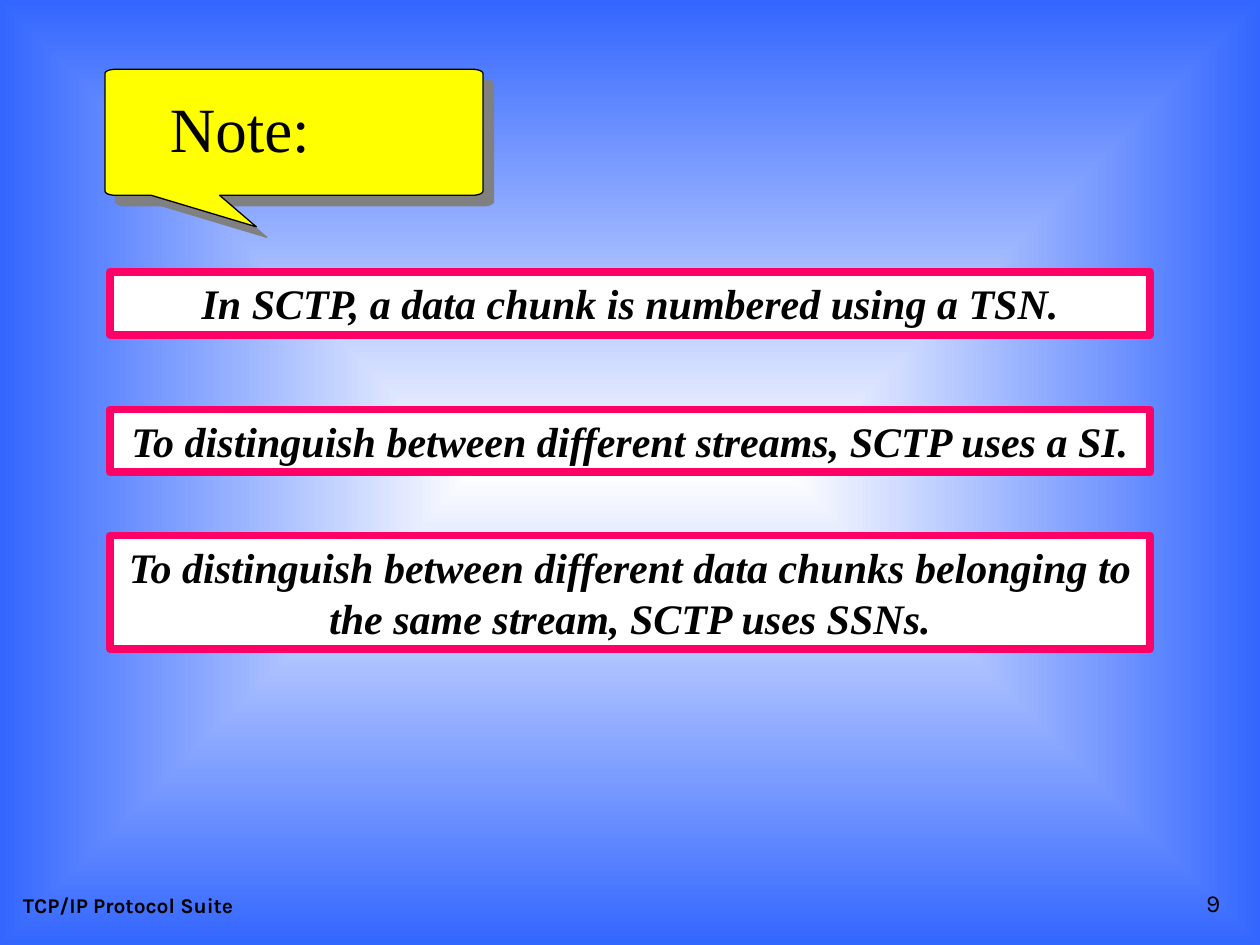
from math import cos, pi, sin

from lxml.etree import SubElement
from pptx import Presentation
from pptx.dml.color import RGBColor
from pptx.enum.shapes import MSO_SHAPE
from pptx.enum.text import MSO_ANCHOR, MSO_AUTO_SIZE, PP_ALIGN
from pptx.oxml import parse_xml
from pptx.oxml.ns import nsdecls, qn
from pptx.util import Pt

BLACK = "000000"
SERIF = "Times New Roman"
SANS = "Karla"


def color(value):
    return RGBColor.from_string(value)


def paint_background(page, center, edge):
    fill = page.background.fill
    fill.gradient()
    for stop, value in zip(fill.gradient_stops, (center, edge)):
        stop.color.rgb = color(value)
    gradient = page._element.find(".//" + qn("a:gradFill"))
    gradient.replace(
        gradient.find(qn("a:lin")),
        parse_xml(
            f'<a:path {nsdecls("a")} path="rect">'
            '<a:fillToRect l="50000" t="50000" r="50000" b="50000"/></a:path>'
        ),
    )


def write(box, text, size, font, bold=False, italic=False, align=PP_ALIGN.LEFT):
    paragraph = box.text_frame.paragraphs[0]
    paragraph.alignment = align
    span = paragraph.add_run()
    span.text = text
    span.font.size = Pt(size)
    span.font.name = font
    span.font.bold = bold
    span.font.italic = italic
    span.font.color.rgb = color(BLACK)
    return paragraph


def add_label(page, left, top, width, height, text, size, font,
              anchor=MSO_ANCHOR.BOTTOM, wrap=True, **style):
    box = page.shapes.add_textbox(Pt(left), Pt(top), Pt(width), Pt(height))
    box.text_frame.word_wrap = wrap
    box.text_frame.vertical_anchor = anchor
    write(box, text, size, font, **style)


def add_statement(page, top, height, text):
    box = page.shapes.add_shape(
        MSO_SHAPE.RECTANGLE, Pt(63), Pt(top), Pt(594), Pt(height)
    )
    box.shadow.inherit = False
    box.fill.solid()
    box.fill.fore_color.rgb = color("FFFFFF")
    box.line.color.rgb = color("FF0066")
    box.line.width = Pt(4.5)
    frame = box.text_frame
    frame.word_wrap = True
    frame.vertical_anchor = MSO_ANCHOR.TOP
    frame.auto_size = MSO_AUTO_SIZE.SHAPE_TO_FIT_TEXT
    paragraph = write(box, text, 24, SERIF, bold=True, italic=True,
                      align=PP_ALIGN.CENTER)
    paragraph.space_before = Pt(12)
    paragraph.space_after = Pt(10)


def corner(center_x, center_y, radius_x, radius_y, start, steps=6):
    angles = [start + pi / 2 * step / steps for step in range(steps + 1)]
    return [(center_x + radius_x * cos(angle), center_y + radius_y * sin(angle))
            for angle in angles]


def add_callout(page, left, top, width, height):
    radius_x, radius_y = 6, 2.4
    near_x, far_x = left + radius_x, left + width - radius_x
    near_y, far_y = top + radius_y, top + height - radius_y
    bottom = top + height
    tail = [(left + 65.5, bottom), (left + 86.5, bottom + 18), (left + 26.5, bottom)]
    points = (
        corner(near_x, near_y, radius_x, radius_y, pi)
        + corner(far_x, near_y, radius_x, radius_y, 1.5 * pi)
        + corner(far_x, far_y, radius_x, radius_y, 0)
        + tail
        + corner(near_x, far_y, radius_x, radius_y, pi / 2)
    )
    outline = [(Pt(x), Pt(y)) for x, y in points]
    builder = page.shapes.build_freeform(*outline[0])
    builder.add_line_segments(outline[1:], close=True)
    callout = builder.convert_to_shape()
    callout.fill.solid()
    callout.fill.fore_color.rgb = color("FFFF00")
    callout.line.color.rgb = color(BLACK)
    callout.line.width = Pt(0.75)
    add_shadow(callout, "808080", 8.5, 45)


def add_shadow(shape, value, distance, angle):
    shape.shadow.inherit = False
    effects = shape._element.spPr.find(qn("a:effectLst"))
    shadow = SubElement(effects, qn("a:outerShdw"), blurRad="0",
                        dist=str(Pt(distance)), dir=str(angle * 60000),
                        algn="ctr", rotWithShape="0")
    SubElement(shadow, qn("a:srgbClr"), val=value)


def main():
    deck = Presentation()
    deck.slide_width, deck.slide_height = Pt(720), Pt(540)
    page = deck.slides.add_slide(deck.slide_layouts[6])
    paint_background(page, "FFFFFF", "3366FF")

    add_label(page, 6, 492, 228, 36, "TCP/IP Protocol Suite", 12, SANS, bold=True)
    add_label(page, 554.4, 492, 150, 36, "9", 14, SANS, align=PP_ALIGN.RIGHT)

    statements = [
        (155.25, 36, "In SCTP, a data chunk is numbered using a TSN."),
        (234, 36, "To distinguish between different streams, SCTP uses a SI."),
        (306, 64.8, "To distinguish between different data chunks belonging to "
                    "the same stream, SCTP uses SSNs."),
    ]
    for top, height, text in statements:
        add_statement(page, top, height, text)

    add_callout(page, 60, 39.6, 216, 72)
    add_label(page, 90, 47.5, 94.3, 50.4, "Note:", 36, SERIF,
              anchor=MSO_ANCHOR.TOP, wrap=False)

    deck.save("out.pptx")


if __name__ == "__main__":
    main()
